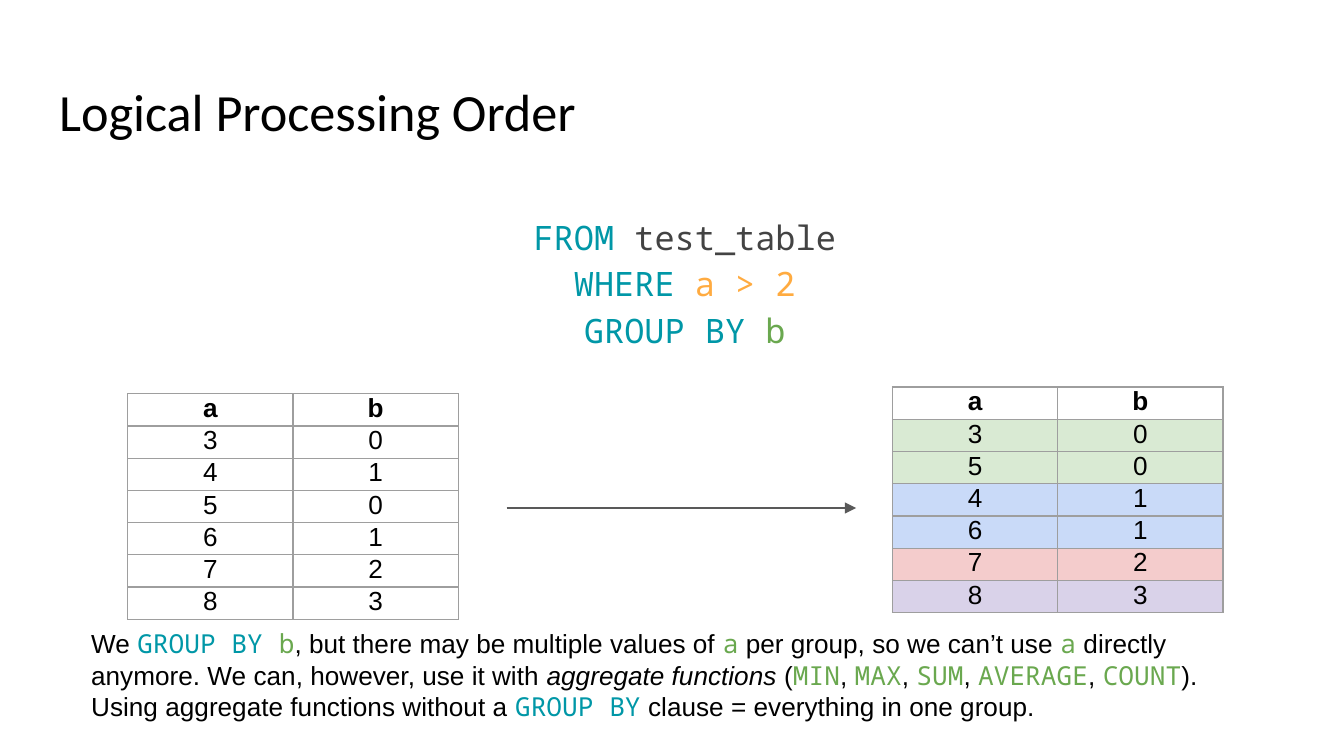
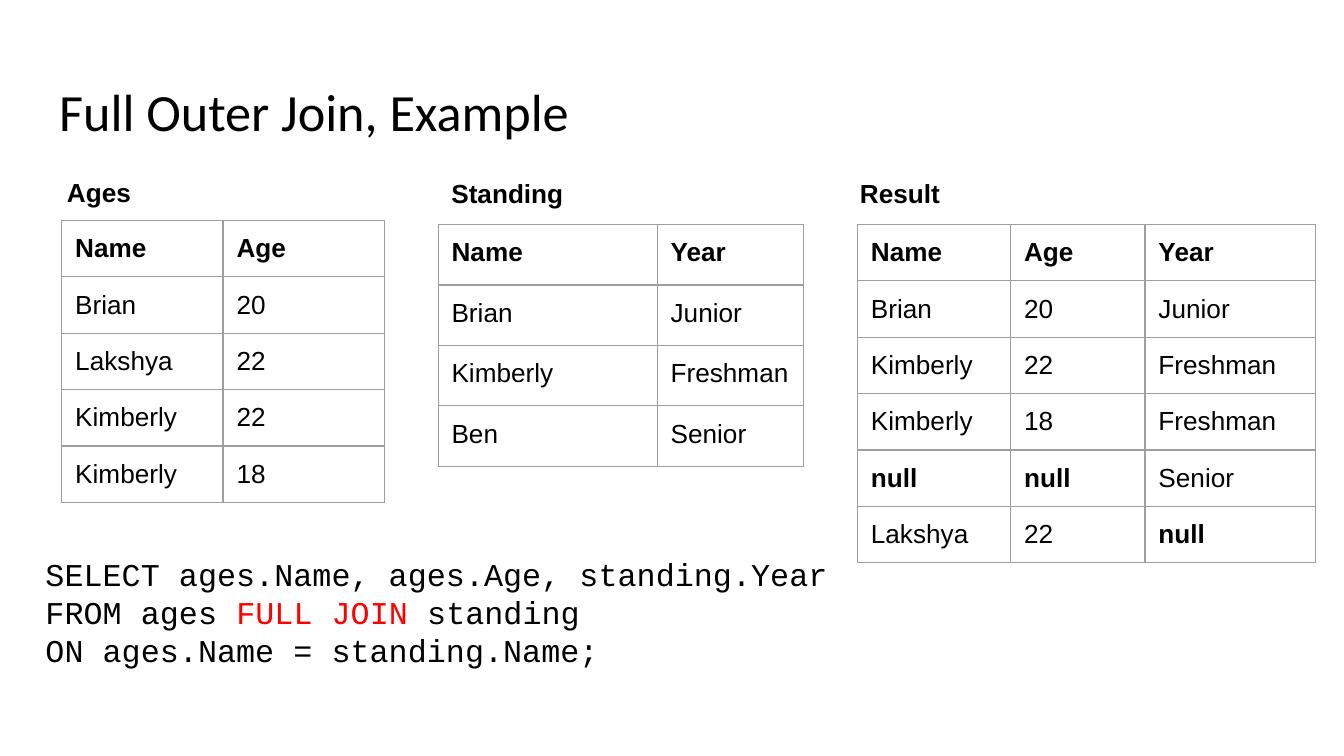
import dataclasses

import lxml.etree
import pptx
import pptx.dml.color
import pptx.enum.shapes
import pptx.enum.text
import pptx.oxml.ns
import pptx.util

RGB = pptx.dml.color.RGBColor
ALIGN = pptx.enum.text.PP_ALIGN

# Shared colours
BLACK = RGB(0x00, 0x00, 0x00)
GRAY = RGB(0x43, 0x43, 0x43)
ARROW_GRAY = RGB(0x59, 0x59, 0x59)
BORDER_GRAY = RGB(0x9E, 0x9E, 0x9E)
TEAL = RGB(0x00, 0x97, 0xA7)
ORANGE = RGB(0xFF, 0xAB, 0x40)
GREEN = RGB(0x6A, 0xA8, 0x4F)
RED = RGB(0xFF, 0x00, 0x00)
GROUP_FILLS = {
    "0": RGB(0xD9, 0xEA, 0xD3),
    "1": RGB(0xC9, 0xDA, 0xF8),
    "2": RGB(0xF4, 0xCC, 0xCC),
    "3": RGB(0xD9, 0xD2, 0xE9),
}

# 100 px to the inch
PX = 9144
SLIDE_WIDTH = 1000
INSET = 10
LINE_WIDTH = pptx.util.Pt(0.75)


@dataclasses.dataclass(frozen=True)
class Style:
    font: str = "Arial"
    size: int = 14
    color: RGB = BLACK
    bold: bool = False
    italic: bool = False


PLAIN = Style()
BOLD = Style(bold=True)
ITALIC = Style(italic=True)
TITLE = Style("Calibri", 28)
KEYWORD = Style("Noto Sans Mono", color=TEAL)
COLUMN = Style("Noto Sans Mono", color=GREEN)
QUERY = Style("Courier New", 17)
QUERY_JOIN = Style("Courier New", 17, RED)

# A piece that breaks the line within its paragraph
BREAK = ("", None)


def clause(color):
    return Style("Noto Sans Mono", 18, color)


def px(length):
    return pptx.util.Emu(length * PX)


def format_run(run, style):
    run.font.name = style.font
    run.font.size = pptx.util.Pt(style.size)
    run.font.color.rgb = style.color
    run.font.bold = style.bold
    run.font.italic = style.italic


def set_insets(owner, inset, top=None):
    owner.margin_left = owner.margin_right = owner.margin_bottom = px(inset)
    owner.margin_top = px(inset if top is None else top)


def add_title(slide, text):
    title = slide.shapes.title
    title.left, title.top, title.width, title.height = map(px, (34, 49, 932, 63))
    frame = title.text_frame
    frame.text = text
    frame.auto_size = pptx.enum.text.MSO_AUTO_SIZE.NONE
    frame.vertical_anchor = pptx.enum.text.MSO_ANCHOR.TOP
    set_insets(frame, INSET)
    frame.paragraphs[0].alignment = ALIGN.LEFT
    format_run(frame.paragraphs[0].runs[0], TITLE)


def add_text(slide, box, paragraphs, align=ALIGN.LEFT, spacing=1.0, top_inset=INSET):
    """Each paragraph is a list of (text, style) pieces."""
    frame = slide.shapes.add_textbox(*map(px, box)).text_frame
    frame.word_wrap = True
    set_insets(frame, INSET, top_inset)
    for index, pieces in enumerate(paragraphs):
        paragraph = frame.add_paragraph() if index else frame.paragraphs[0]
        paragraph.alignment = align
        paragraph.line_spacing = spacing
        for text, style in pieces:
            if style is None:
                paragraph.add_line_break()
                continue
            run = paragraph.add_run()
            run.text = text
            format_run(run, style)


def add_borders(cell):
    properties = cell._tc.get_or_add_tcPr()
    for index, side in enumerate(("lnL", "lnR", "lnT", "lnB")):
        line = lxml.etree.Element(pptx.oxml.ns.qn(f"a:{side}"), w=str(LINE_WIDTH))
        fill = lxml.etree.SubElement(line, pptx.oxml.ns.qn("a:solidFill"))
        lxml.etree.SubElement(fill, pptx.oxml.ns.qn("a:srgbClr"), val=str(BORDER_GRAY))
        properties.insert(index, line)


def add_table(slide, left, top, widths, row_height, rows,
              inset=INSET, align=ALIGN.LEFT, fills=None):
    """The header and nulls are bold; fills maps a row's last value to a colour."""
    table = slide.shapes.add_table(
        len(rows), len(widths), px(left), px(top),
        px(sum(widths)), px(row_height * len(rows))).table
    table.first_row = table.horz_banding = False
    for column, width in zip(table.columns, widths):
        column.width = px(width)
    for r, values in enumerate(rows):
        table.rows[r].height = px(row_height)
        fill = (fills or {}).get(values[-1])
        for c, value in enumerate(values):
            cell = table.cell(r, c)
            cell.text_frame.text = value
            set_insets(cell, inset)
            paragraph = cell.text_frame.paragraphs[0]
            paragraph.alignment = align
            format_run(paragraph.runs[0], BOLD if r == 0 or value == "null" else PLAIN)
            if fill:
                cell.fill.solid()
                cell.fill.fore_color.rgb = fill
            else:
                cell.fill.background()
            add_borders(cell)


def add_arrow(slide, x1, x2, y):
    arrow = slide.shapes.add_connector(
        pptx.enum.shapes.MSO_CONNECTOR.STRAIGHT, px(x1), px(y), px(x2), px(y))
    arrow.line.color.rgb = ARROW_GRAY
    arrow.line.width = LINE_WIDTH
    lxml.etree.SubElement(arrow.line._get_or_add_ln(),
                          pptx.oxml.ns.qn("a:tailEnd"), type="triangle")
    lxml.etree.SubElement(arrow._element.spPr, pptx.oxml.ns.qn("a:effectLst"))


def build_processing_order(slide):
    add_title(slide, "Logical Processing Order")

    # Query clauses
    add_text(slide, (355, 112, 309, 241), [[
        ("FROM ", clause(TEAL)), ("test_table", clause(GRAY)), BREAK,
        ("WHERE ", clause(TEAL)), ("a > 2", clause(ORANGE)), BREAK,
        ("GROUP BY", clause(TEAL)), (" b", clause(GREEN)),
    ]], align=ALIGN.CENTER, spacing=1.15, top_inset=45)

    # Rows before and after grouping
    header, *records = [("a", "b"), ("3", "0"), ("4", "1"), ("5", "0"),
                        ("6", "1"), ("7", "2"), ("8", "3")]
    grouped = sorted(records, key=lambda record: record[1])
    for left, top, rows, fills in ((95, 293, records, None),
                                   (664, 288, grouped, GROUP_FILLS)):
        add_table(slide, left, top, (123, 123), 24, [header, *rows],
                  inset=0, align=ALIGN.CENTER, fills=fills)
    add_arrow(slide, 377, 637, 378)

    # Explanation
    functions = []
    for name in ("MIN", "MAX", "SUM", "AVERAGE", "COUNT"):
        functions += [(name, COLUMN), (", ", PLAIN)]
    functions[-1] = (").", PLAIN)
    add_text(slide, (58, 457, 885, 63), [
        [("We ", PLAIN), ("GROUP BY", KEYWORD), (" b", COLUMN),
         (", but there may be multiple values of ", PLAIN), ("a", COLUMN),
         (" per group, so we can’t use ", PLAIN), ("a", COLUMN),
         (" directly anymore. We can, however, use it with ", PLAIN),
         ("aggregate functions", ITALIC), (" (", PLAIN), *functions],
        [("Using aggregate functions without a ", PLAIN), ("GROUP BY", KEYWORD),
         (" clause = everything in one group.", PLAIN)],
    ])


def build_full_join(slide):
    add_title(slide, "Full Outer Join, Example")

    # Input tables and their join
    add_table(slide, 46, 164, (120, 120), 42, [
        ("Name", "Age"), ("Brian", "20"), ("Lakshya", "22"),
        ("Kimberly", "22"), ("Kimberly", "18")])
    add_table(slide, 326, 167, (163, 109), 45, [
        ("Name", "Year"), ("Brian", "Junior"),
        ("Kimberly", "Freshman"), ("Ben", "Senior")])
    add_table(slide, 638, 167, (114, 100, 127), 42, [
        ("Name", "Age", "Year"), ("Brian", "20", "Junior"),
        ("Kimberly", "22", "Freshman"), ("Kimberly", "18", "Freshman"),
        ("null", "null", "Senior"), ("Lakshya", "22", "null")])

    # Table names
    for name, left, top, height in (("Ages", 40, 121, 43),
                                    ("Standing", 326, 122, 33),
                                    ("Result", 630, 122, 33)):
        add_text(slide, (left, top, 221, height), [[(name, BOLD)]])

    # Query
    add_text(slide, (24, 403, 616, 115), [
        [("SELECT ages.Name, ages.Age, standing.Year", QUERY)],
        [("FROM ages ", QUERY), ("FULL JOIN", QUERY_JOIN), (" standing", QUERY)],
        [("ON ages.Name = standing.Name;", QUERY)],
    ])


def main():
    deck = pptx.Presentation()
    deck.slide_width = px(SLIDE_WIDTH)
    deck.slide_height = px(SLIDE_WIDTH * 9 // 16) + PX // 2  # exact 16:9
    title_only = deck.slide_layouts[5]
    for build in (build_processing_order, build_full_join):
        build(deck.slides.add_slide(title_only))
    deck.save("out.pptx")


if __name__ == "__main__":
    main()
